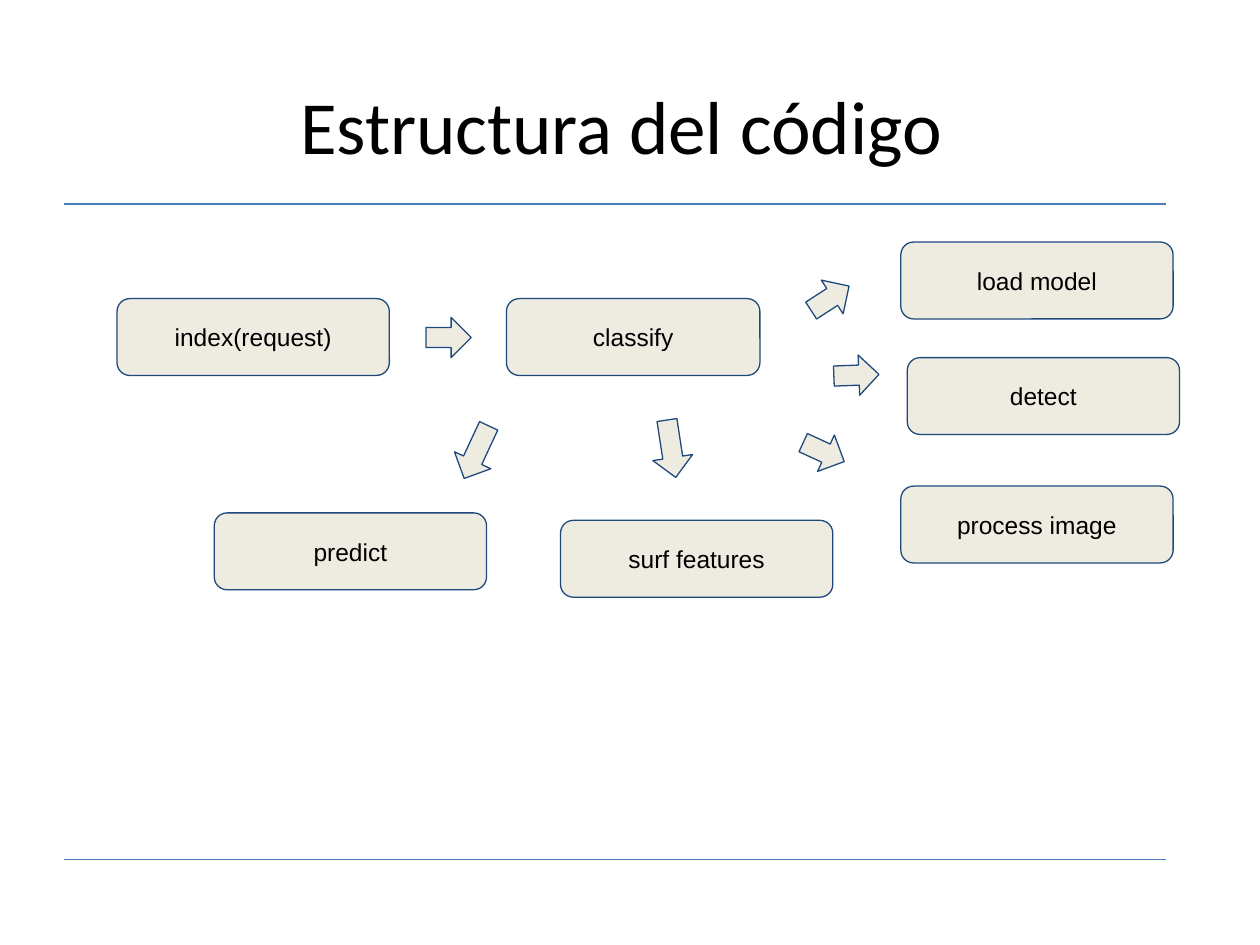
import pptx
import pptx.dml.color
import pptx.enum.shapes
import pptx.enum.text
import pptx.oxml.ns
import pptx.util
from lxml import etree

Cm = pptx.util.Cm
Pt = pptx.util.Pt
SHAPES = pptx.enum.shapes.MSO_SHAPE

COLORS = {"text": "000000", "rule": "4A7DBA", "fill": "EEECE1", "outline": "1F497D"}

NODE_WIDTH, NODE_HEIGHT = 5.49, 1.55
ARROW_HEIGHT = 0.81

NODES = [
    ("index(request)", 0, 1.14, NODE_WIDTH),
    ("classify", 7.85, 1.14, 5.11),
    ("load model", 15.8, 0, NODE_WIDTH),
    ("detect", 15.93, 2.33, NODE_WIDTH),
    ("process image", 15.8, 4.92, NODE_WIDTH),
    ("surf features", 8.94, 5.61, NODE_WIDTH),
    ("predict", 1.96, 5.46, NODE_WIDTH),
]

ARROWS = [
    (SHAPES.RIGHT_ARROW, 6.23, 1.52, 0.91, 0),
    (SHAPES.RIGHT_ARROW, 13.92, 0.73, 0.91, 327.1),
    (SHAPES.RIGHT_ARROW, 14.45, 2.28, 0.91, 357.8),
    (SHAPES.RIGHT_ARROW, 13.79, 3.83, 0.91, 24.8),
    (SHAPES.LEFT_ARROW, 10.59, 3.76, 1.17, 261.3),
    (SHAPES.LEFT_ARROW, 6.66, 3.83, 1.17, 295),
]


def rgb(name):
    return pptx.dml.color.RGBColor.from_string(COLORS[name])


def write_text(shape, text, font="Arial", size=14, color="text", margin=0.25):
    frame = shape.text_frame
    frame.word_wrap = True
    frame.auto_size = pptx.enum.text.MSO_AUTO_SIZE.NONE
    frame.vertical_anchor = pptx.enum.text.MSO_ANCHOR.MIDDLE
    frame.margin_left = frame.margin_right = Cm(0.25)
    frame.margin_top = frame.margin_bottom = Cm(margin)
    frame.text = text
    paragraph = frame.paragraphs[0]
    paragraph.alignment = pptx.enum.text.PP_ALIGN.CENTER
    paragraph.font.name = font
    paragraph.font.size = Pt(size)
    paragraph.font.color.rgb = rgb(color)


def add_figure(slide, kind, left, top, width, height):
    shape = slide.shapes.add_shape(kind, Cm(left), Cm(top), Cm(width), Cm(height))
    shape.shadow.inherit = False
    shape.fill.solid()
    shape.fill.fore_color.rgb = rgb("fill")
    shape.line.color.rgb = rgb("outline")
    shape.line.width = Pt(0.75)
    return shape


def add_rule(slide, left, top, width):
    rule = slide.shapes.add_connector(
        pptx.enum.shapes.MSO_CONNECTOR.STRAIGHT,
        Cm(left), Cm(top), Cm(left + width), Cm(top),
    )
    rule.line.color.rgb = rgb("rule")
    rule.line.width = Pt(0.75)
    properties = rule._element.find(pptx.oxml.ns.qn("p:spPr"))
    etree.SubElement(properties, pptx.oxml.ns.qn("a:effectLst"))


def place_title(slide, left, top, width, height):
    title = slide.shapes.title
    title.left, title.top = Cm(left), Cm(top)
    title.width, title.height = Cm(width), Cm(height)
    write_text(title, "Estructura del código", font="Calibri", size=42.9, margin=0.13)


def draw_frame(slide, left, top, width, height):
    for rule_top in (top, top + height):
        add_rule(slide, left, rule_top, width)


def draw_call_diagram(slide, left, top):
    for text, x, y, width in NODES:
        node = add_figure(
            slide, SHAPES.ROUNDED_RECTANGLE, left + x, top + y, width, NODE_HEIGHT
        )
        write_text(node, text)
    for kind, x, y, width, rotation in ARROWS:
        arrow = add_figure(slide, kind, left + x, top + y, width, ARROW_HEIGHT)
        arrow.rotation = rotation


def main():
    presentation = pptx.Presentation()
    presentation.slide_width = Cm(25.4)
    presentation.slide_height = Cm(19.05)
    slide = presentation.slides.add_slide(presentation.slide_layouts[5])
    draw_frame(slide, 1.3, 4.11, 22.2, 13.21)
    place_title(slide, 1.09, 0.91, 22.86, 3.18)
    draw_call_diagram(slide, 2.36, 4.88)
    presentation.save("out.pptx")


if __name__ == "__main__":
    main()
